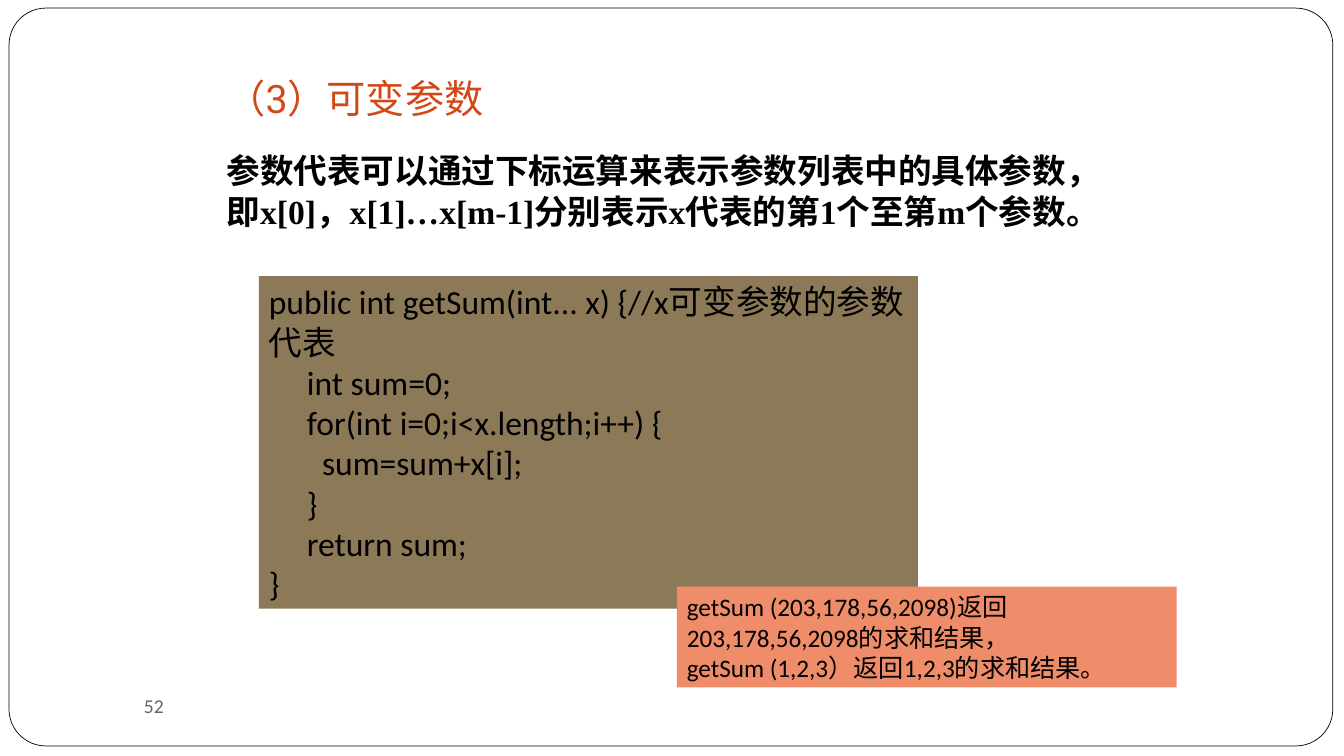
import pptx
import pptx.dml.color
import pptx.enum.shapes
import pptx.enum.text
import pptx.util

COLORS = {
    "paper": "FFFFFF",
    "ink": "000000",
    "title": "D34817",
    "number": "696464",
    "code": "8C7958",
    "result": "EF8C6A",
}
WIDTH = pptx.util.Inches(13.34)
HEIGHT = pptx.util.Inches(7.5)

CODE = [
    "public int getSum(int... x) {//x可变参数的参数代表",
    "     int sum=0;",
    "     for(int i=0;i<x.length;i++) {",
    "       sum=sum+x[i];",
    "     }",
    "     return sum;",
    "}",
]
RESULT = [
    "getSum (203,178,56,2098)返回203,178,56,2098的求和结果，",
    "getSum (1,2,3）返回1,2,3的求和结果。",
]
STATEMENT = (
    "参数代表可以通过下标运算来表示参数列表中的具体参数，"
    "即x[0]，x[1]…x[m-1]分别表示x代表的第1个至第m个参数。"
)


def rgb(name):
    return pptx.dml.color.RGBColor.from_string(COLORS[name])


def place(left, top, width, height):
    return (
        round(WIDTH * left / 100),
        round(HEIGHT * top / 100),
        round(WIDTH * width / 100),
        round(HEIGHT * height / 100),
    )


def add_frame(s):
    kind = pptx.enum.shapes.MSO_SHAPE.ROUNDED_RECTANGLE
    sp = s.shapes.add_shape(kind, *place(0.67, 1.07, 98.5, 97.6))
    sp.adjustments[0] = 0.05
    sp.shadow.inherit = False
    sp.fill.solid()
    sp.fill.fore_color.rgb = rgb("paper")
    sp.line.color.rgb = rgb("ink")
    sp.line.width = pptx.util.Pt(0.5)


def add_text(s, box, lines, size, font="Calibri", color="ink", bold=False,
             fill=None, middle=False):
    sp = s.shapes.add_textbox(*place(*box))
    if fill:
        sp.fill.solid()
        sp.fill.fore_color.rgb = rgb(fill)
    tf = sp.text_frame
    tf.word_wrap = True
    anchor = pptx.enum.text.MSO_ANCHOR
    tf.vertical_anchor = anchor.MIDDLE if middle else anchor.TOP
    tf.text = "\n".join(lines)
    for p in tf.paragraphs:
        for r in p.runs:
            r.font.name = font
            r.font.size = pptx.util.Pt(size)
            r.font.bold = bold
            r.font.color.rgb = rgb(color)


def main():
    prs = pptx.Presentation()
    prs.slide_width = WIDTH
    prs.slide_height = HEIGHT
    s = prs.slides.add_slide(prs.slide_layouts[6])
    add_frame(s)
    add_text(s, (9.97, 90, 43.33, 6.67), ["52"], 14, color="number", middle=True)
    add_text(s, (16.12, 8.8, 57.5, 8.27), ["（3）可变参数"], 28, "Roboto", "title",
             middle=True)
    add_text(s, (16.12, 19.2, 66.72, 17.33), [STATEMENT], 24, "Times New Roman",
             bold=True)
    add_text(s, (19.27, 36.53, 49.03, 44), CODE, 24, fill="code")
    add_text(s, (50.37, 77.6, 37.18, 13.33), RESULT, 18, fill="result")
    prs.save("out.pptx")


if __name__ == "__main__":
    main()
